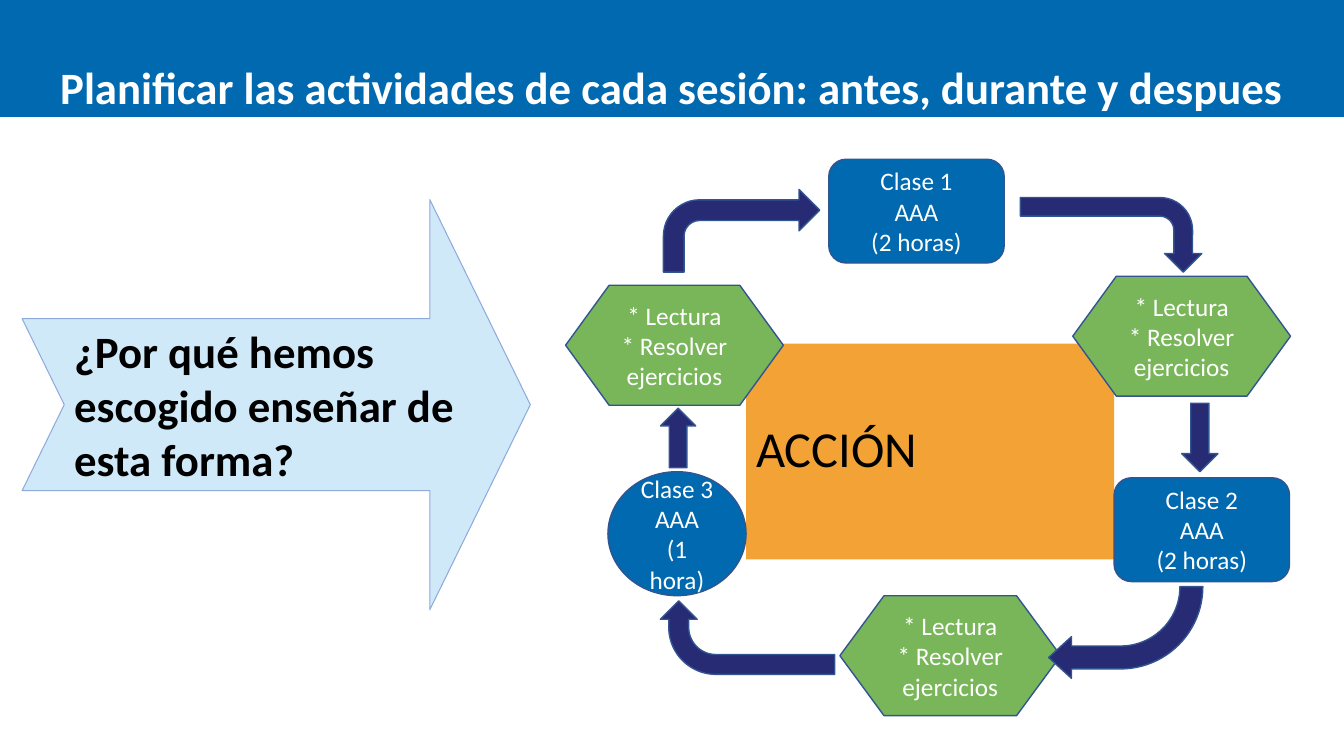
from pptx import Presentation
from pptx.dml.color import RGBColor
from pptx.enum import shapes, text
from pptx.util import Inches, Pt

COLORS = {"blue": "0069AF", "navy": "272B74", "green": "79B659", "orange": "F3A336",
          "pale": "D0E9F8", "outline": "325491", "sky": "8FAADC",
          "white": "FFFFFF", "black": "000000"}
KINDS = shapes.MSO_SHAPE
READING = ["* Lectura", "* Resolver ejercicios"]


def color(name):
    """Return the named palette colour."""
    return RGBColor.from_string(COLORS[name])


def write_text(box, lines, size=18, tint="white", bold=False,
               align=text.PP_ALIGN.CENTER, anchor=text.MSO_ANCHOR.MIDDLE):
    """Write one paragraph per line in the given format."""
    frame = box.text_frame
    frame.word_wrap = True
    frame.auto_size = text.MSO_AUTO_SIZE.NONE
    frame.vertical_anchor = anchor
    for index, line in enumerate(lines):
        para = frame.paragraphs[0] if index == 0 else frame.add_paragraph()
        para.alignment = align
        span = para.add_run()
        span.text = line
        span.font.name = "Calibri"
        span.font.size = Pt(size)
        span.font.bold = bold
        span.font.color.rgb = color(tint)


def add_figure(page, kind, left, top, width, height, fill,
               line="outline", weight=1, rotation=0, adjustments=()):
    """Add a flat filled shape, with an outline unless line is None."""
    box = page.shapes.add_shape(kind, Inches(left), Inches(top), Inches(width), Inches(height))
    box.shadow.inherit = False
    box.fill.solid()
    box.fill.fore_color.rgb = color(fill)
    if line:
        box.line.color.rgb = color(line)
        box.line.width = Pt(weight)
    else:
        box.line.fill.background()
    box.rotation = rotation
    for index, value in enumerate(adjustments):
        box.adjustments[index] = value
    return box


def add_action(page, left, top, width, height):
    """Place the title placeholder as the orange centre of the cycle."""
    title = page.shapes.title
    title.left, title.top = Inches(left), Inches(top)
    title.width, title.height = Inches(width), Inches(height)
    title.fill.solid()
    title.fill.fore_color.rgb = color("orange")
    write_text(title, ["ACCIÓN"], size=36, tint="black", align=text.PP_ALIGN.LEFT)
    title.text_frame.paragraphs[0].line_spacing = 0.9


def add_cycle(page, left, top):
    """Draw the classes, the readings and the arrows between them."""
    class_size, reading_size = (1.74, 1.03), (2.16, 1.19)
    card, hexagon = KINDS.FLOWCHART_ALTERNATE_PROCESS, KINDS.FLOWCHART_PREPARATION
    steps = [
        (card, 2.61, 0, class_size, "blue", ["Clase 1", "AAA", "(2 horas)"]),
        (card, 5.44, 3.16, class_size, "blue", ["Clase 2", "AAA", "(2 horas)"]),
        (hexagon, 5.03, 1.16, reading_size, "green", READING),
        (hexagon, 2.72, 4.33, (2.19, 1.19), "green", READING),
        (KINDS.OVAL, 0.42, 3.1, (1.37, 1.23), "blue", ["Clase 3", "AAA", "(1 hora)"]),
        (hexagon, 0, 1.25, reading_size, "green", READING),
    ]
    for kind, x, y, size, fill, lines in steps:
        write_text(add_figure(page, kind, left + x, top + y, *size, fill), lines)

    arrows = [
        (KINDS.BENT_ARROW, 0.97, 0.3, 1.55, 0.82, 0, ()),
        (KINDS.BENT_ARROW, 5.04, -0.15, 0.74, 1.8, 90, ()),
        (KINDS.DOWN_ARROW, 6.11, 2.42, 0.36, 0.68, 0, ()),
        (KINDS.UP_ARROW, 0.94, 2.47, 0.35, 0.59, 0, ()),
        (KINDS.BENT_ARROW, 4.79, 4.24, 1.53, 0.91, 180, (0.25, 0.228, 0.25, 0.897)),
        (KINDS.BENT_ARROW, 1.44, 3.88, 0.73, 1.73, 270, (0.27, 0.25, 0.25, 0.639)),
    ]
    for kind, x, y, width, height, rotation, adjustments in arrows:
        add_figure(page, kind, left + x, top + y, width, height, "navy",
                   rotation=rotation, adjustments=adjustments)


def add_header(page, left, top, width, height):
    """Draw the blue band with the heading at its foot."""
    band = add_figure(page, KINDS.RECTANGLE, left, top, width, height, "blue", line=None)
    write_text(band, ["Planificar las actividades de cada sesión: antes, durante y despues"],
               size=32, bold=True, anchor=text.MSO_ANCHOR.BOTTOM)
    band.text_frame.margin_bottom = Inches(0.03)


def add_question(page, left, top, width, height):
    """Draw the pale arrow that asks the question."""
    arrow = add_figure(page, KINDS.NOTCHED_RIGHT_ARROW, left, top, width, height, "pale",
                       line="sky", weight=0.75, adjustments=(0.419, 0.245))
    write_text(arrow, ["¿Por qué hemos escogido enseñar de esta forma?"], size=32,
               tint="black", bold=True, align=text.PP_ALIGN.LEFT, anchor=text.MSO_ANCHOR.TOP)


def main():
    """Build the slide and save the deck."""
    deck = Presentation()
    deck.slide_width, deck.slide_height = Inches(13.33), Inches(7.5)
    page = deck.slides.add_slide(deck.slide_layouts[5])
    add_action(page, 7.4, 3.41, 3.65, 2.14)
    add_cycle(page, 5.61, 1.58)
    add_header(page, 0, -0.02, 13.33, 1.18)
    add_question(page, 0.22, 1.98, 5.04, 4.07)
    deck.save("out.pptx")


if __name__ == "__main__":
    main()
